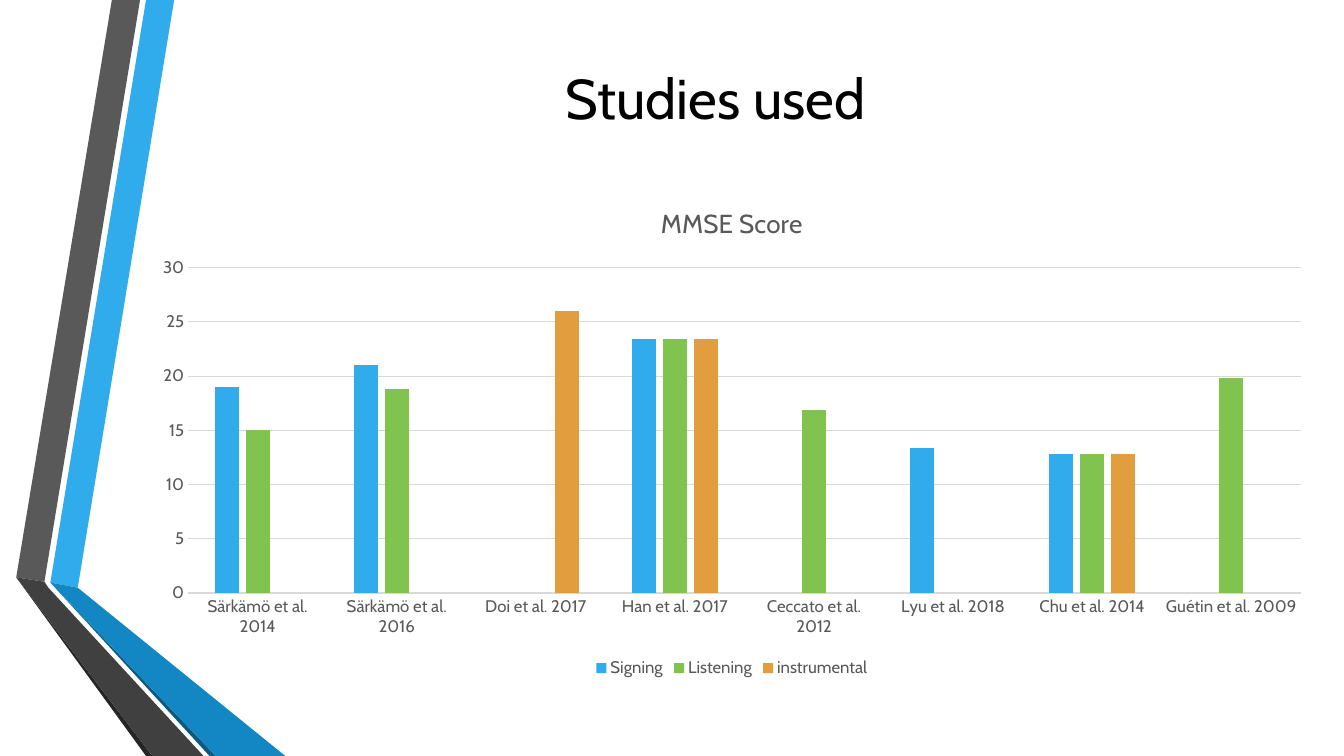
import dataclasses
import pptx
import pptx.chart.data
import pptx.dml.color
import pptx.enum.chart
import pptx.enum.text
import pptx.util

Cm, Pt = pptx.util.Cm, pptx.util.Pt
Rgb = pptx.dml.color.RGBColor.from_string
Enum = pptx.enum.chart


@dataclasses.dataclass
class Theme:
    font: str = "Cabin"
    ink: str = "000000"
    text: str = "595959"
    grid: str = "D9D9D9"
    blue: str = "30ACEC"
    green: str = "80C34F"
    gold: str = "E29D3E"
    low_blue: str = "1287C3"
    deep_blue: str = "0C5A82"
    gray: str = "595959"
    low_gray: str = "404040"
    deep_gray: str = "262626"
    head: float = 40
    title: float = 18.6
    label: float = 12
    rule: float = 0.75


class Deck:
    def __init__(self, theme):
        self.theme = theme
        self.show = pptx.Presentation()
        self.show.slide_width, self.show.slide_height = Cm(33.87), Cm(19.05)
        self.slide = self.show.slides.add_slide(self.show.slide_layouts[5])

    def style(self, font, size, color):
        font.name, font.size, font.bold = self.theme.font, Pt(size), False
        font.color.rgb = Rgb(color)

    def rule(self, line):
        line.color.rgb = Rgb(self.theme.grid)
        line.width = Pt(self.theme.rule)

    def head(self, text, *box):
        shape = self.slide.shapes.title
        shape.left, shape.top, shape.width, shape.height = map(Cm, box)
        frame = shape.text_frame
        frame.text = text
        frame.vertical_anchor = pptx.enum.text.MSO_ANCHOR.MIDDLE
        para = frame.paragraphs[0]
        para.alignment = pptx.enum.text.PP_ALIGN.CENTER
        self.style(para.font, self.theme.head, self.theme.ink)

    def band(self, color, *points):
        first, *rest = [(Cm(x), Cm(y)) for x, y in points]
        path = self.slide.shapes.build_freeform(*first)
        path.add_line_segments(rest, close=True)
        shape = path.convert_to_shape()
        shape.shadow.inherit = False
        shape.fill.solid()
        shape.fill.fore_color.rgb = Rgb(color)
        shape.line.fill.background()

    def chart(self, title, names, series, *box):
        theme = self.theme
        data = pptx.chart.data.CategoryChartData()
        data.categories = names
        for name, _, values in series:
            data.add_series(name, values)
        chart = self.slide.shapes.add_chart(
            Enum.XL_CHART_TYPE.COLUMN_CLUSTERED, *map(Cm, box), data).chart
        self.style(chart.font, theme.label, theme.text)

        # Title and legend
        chart.has_title = True
        frame = chart.chart_title.text_frame
        frame.text = title
        self.style(frame.paragraphs[0].font, theme.title, theme.text)
        chart.chart_title.include_in_layout = False
        chart.has_legend = True
        chart.legend.position = Enum.XL_LEGEND_POSITION.BOTTOM
        chart.legend.include_in_layout = False
        self.style(chart.legend.font, theme.label, theme.text)

        # Axes
        for axis in (chart.category_axis, chart.value_axis):
            axis.major_tick_mark = Enum.XL_TICK_MARK.NONE
            axis.minor_tick_mark = Enum.XL_TICK_MARK.NONE
            self.style(axis.tick_labels.font, theme.label, theme.text)
        self.rule(chart.category_axis.format.line)
        scale = chart.value_axis
        scale.minimum_scale, scale.maximum_scale = 0, 30
        scale.major_unit = 5
        scale.format.line.fill.background()
        self.rule(scale.major_gridlines.format.line)

        # Columns
        plot = chart.plots[0]
        plot.gap_width, plot.overlap = 219, -27
        plot.vary_by_categories = False
        for bars, (_, color, _) in zip(plot.series, series):
            bars.format.fill.solid()
            bars.format.fill.fore_color.rgb = Rgb(color)
            bars.invert_if_negative = False


def main():
    theme = Theme()
    deck = Deck(theme)

    # Folded ribbons on the left: corners that neighbours share
    foot = 19.05
    blue_in, blue_out = (1.27, 14.68), (1.96, 14.81)
    gray_in, gray_out = (0.41, 14.55), (1.12, 14.66)
    blue_foot, gray_foot = (5.44, foot), (3.84, foot)
    deck.band(theme.blue, blue_in, blue_out, (4.39, 0), (3.68, 0))
    deck.band(theme.gray, gray_in, gray_out, (3.53, 0), (2.82, 0))
    deck.band(theme.deep_gray, gray_in, (3.68, foot), gray_foot)
    deck.band(theme.deep_blue, blue_in, (5.28, foot), blue_foot)
    deck.band(theme.low_blue, blue_in, blue_foot, (7.19, foot), blue_out)
    deck.band(theme.low_gray, gray_in, gray_foot, (5.13, foot),
              (1.22, 14.81), gray_out)

    # Heading
    deck.head("Studies used", 4.11, 0, 27.84, 4.88)

    # Scores by study
    names = ["Särkämö et al. 2014", "Särkämö et al. 2016",
             "Doi et al. 2017", "Han et al. 2017", "Ceccato et al. 2012",
             "Lyu et al. 2018", "Chu et al. 2014", "Guétin et al. 2009"]
    series = [
        ("Signing", theme.blue,
         [19, 21, None, 23.4, None, 13.4, 12.8, None]),
        ("Listening", theme.green,
         [15, 18.8, None, 23.4, 16.9, None, 12.8, 19.8]),
        ("instrumental", theme.gold,
         [None, None, 26, 23.4, None, None, 12.8, None]),
    ]
    deck.chart("MMSE Score", names, series, 3.51, 4.67, 29.87, 12.52)

    deck.show.save("out.pptx")


if __name__ == "__main__":
    main()
